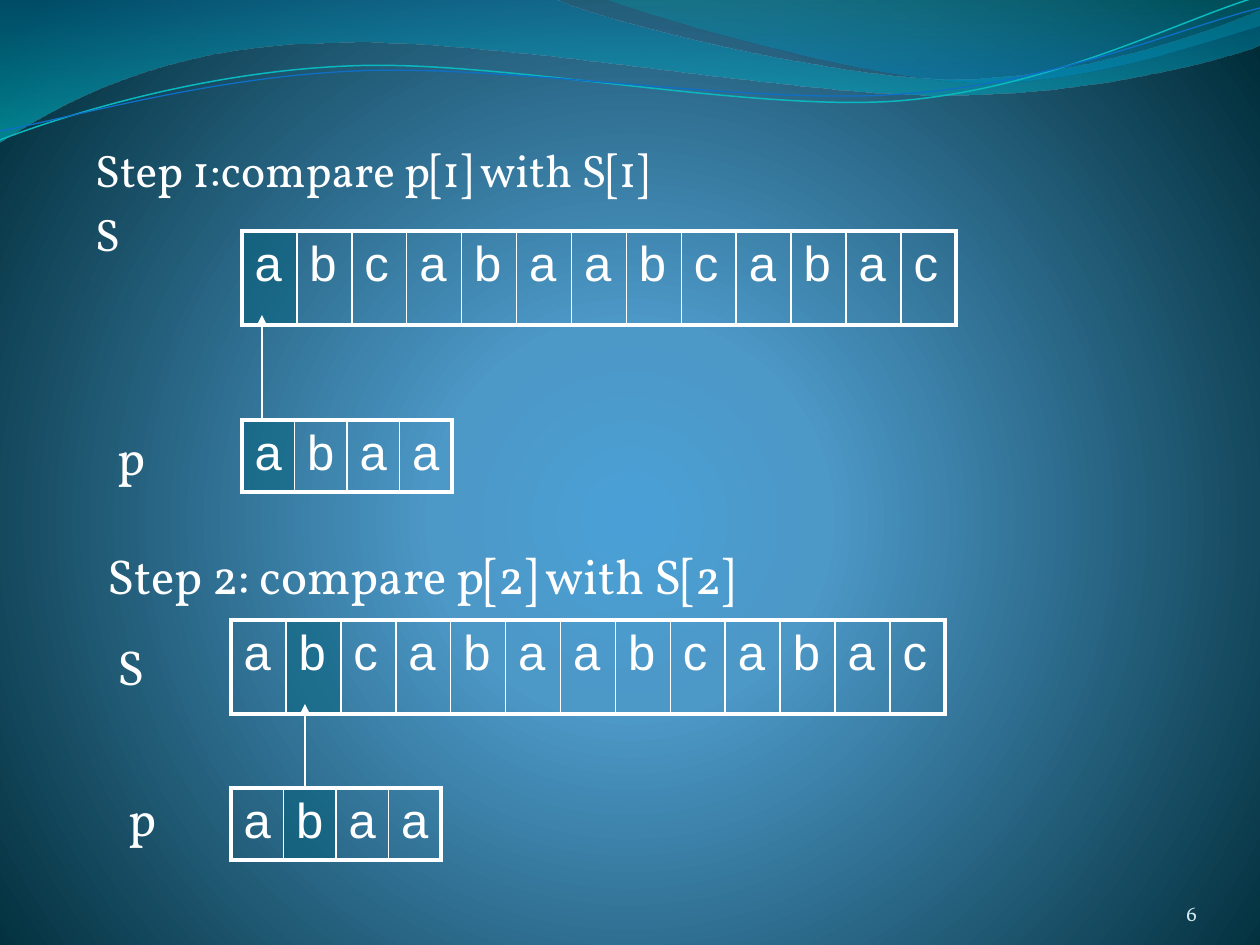
import math
import pptx
import pptx.util
import pptx.dml.color
import pptx.enum.shapes
import pptx.enum.text
import pptx.oxml
import pptx.oxml.ns
import lxml.etree

PX = 7257  # EMU per pixel, 126 pixels to the inch
ns = pptx.oxml.ns
rgb = pptx.dml.color.RGBColor.from_string
anchor = pptx.enum.text.MSO_ANCHOR
align = pptx.enum.text.PP_ALIGN
pt = pptx.util.Pt

THEME = {
    "ink": "FFFFFF", "mark": "04617B", "page": "D1EAEE",
    "back": [(0, "4AA0D6", 100), (25, "4C98C7", 100), (100, "002C38", 100)],
    "left": [(0, "0074A1", 45), (100, "00C6CF", 55)],
    "right": [(0, "00A1A9", 30), (80, "008BBF", 45)],
    "teal": "0AB8BF", "blue": "0F6FC6",
    "body": {"name": "Vollkorn", "size": pt(26)},
    "label": {"name": "Vollkorn", "size": pt(28)},
    "cell": {"name": "Arial", "size": pt(28)},
    "number": {"name": "Vollkorn", "size": pt(12)},
}


def shade(root, stops, way):
    """Put a gradient with opacity in place of the default one."""
    marks = "".join(
        f'<a:gs pos="{pos * 1000}"><a:srgbClr val="{tint}">'
        + (f'<a:alpha val="{clear * 1000}"/>' if clear < 100 else "")
        + '</a:srgbClr></a:gs>' for pos, tint, clear in stops)
    old = next(root.iter(ns.qn("a:gradFill")))
    new = pptx.oxml.parse_xml(
        f'<a:gradFill rotWithShape="1" {ns.nsdecls("a")}><a:gsLst>{marks}</a:gsLst>{way}</a:gradFill>')
    old.getparent().replace(old, new)


def write(para, text, style, tint=THEME["ink"]):
    run = para.add_run()
    run.text = text
    for key, value in THEME[style].items():
        setattr(run.font, key, value)
    run.font.color.rgb = rgb(tint)


deck = pptx.Presentation()
deck.slide_width, deck.slide_height = 1260 * PX, 945 * PX
slide = deck.slides.add_slide(deck.slide_layouts[6])
shapes = slide.shapes

# Background
slide.background.fill.gradient()
shade(slide.element, THEME["back"],
      '<a:path path="circle"><a:fillToRect l="10000" t="110000" r="10000" b="100000"/></a:path>')

# Waves: a pair is a straight step, six numbers are a Bezier curve
waves = [
    ("left", 0, [(0, 0), (554, -1), (600, 21, 837, 79, 955, 79), (1075, 79, 1207, 33, 1260, 11),
                 (1261, 45), (1239, 55, 1096, 96, 940, 95), (784, 95, 481, 35, 324, 43),
                 (163, 45, 58, 105, -1, 142), (0, 0)]),
    ("right", 0, [(604, -1), (641, 14, 859, 78, 969, 82), (1079, 87, 1211, 40, 1260, 26),
                  (1260, 0), (604, -1)]),
    ("teal", 0.85, [(0, 140), (60, 117, 199, 72, 349, 66), (498, 59, 747, 112, 898, 101),
                    (1050, 89, 1182, 19, 1257, -3)]),
    ("blue", 0.75, [(0, 131), (59, 121, 207, 77, 357, 71), (508, 64, 752, 106, 903, 94),
                    (1053, 84, 1186, 26, 1260, 8)]),
]
TILT = -2.7
for name, width, steps in waves:
    # Lines are drawn level, then the shape is tilted about its middle
    turn = math.radians(-TILT if width else 0)
    cos, sin = math.cos(turn), math.sin(turn)
    dots = [step[i:i + 2] for step in steps for i in range(0, len(step), 2)]
    dots = [(x * cos - y * sin, x * sin + y * cos) for x, y in dots]
    dots = [(round(x * PX), round(y * PX)) for x, y in dots]
    pen = shapes.build_freeform(*dots[0])
    pen.add_line_segments(dots[1:], close=not width)
    wave = pen.convert_to_shape()
    lines = list(wave.element.iter(ns.qn("a:lnTo")))
    for step in steps[1:]:
        first, *rest = lines[:len(step) // 2]
        del lines[:len(step) // 2]
        if rest:
            curve = lxml.etree.Element(ns.qn("a:cubicBezTo"))
            first.addprevious(curve)
            for line in (first, *rest):
                curve.append(line[0])
                line.getparent().remove(line)
    wave.shadow.inherit = False
    if width:
        x, y = wave.left + wave.width / 2, wave.top + wave.height / 2
        wave.left = round(x * cos + y * sin - wave.width / 2)
        wave.top = round(y * cos - x * sin - wave.height / 2)
        wave.rotation = TILT
        wave.fill.background()
        wave.line.color.rgb = rgb(THEME[name])
        wave.line.width = pt(width)
    else:
        wave.line.fill.background()
        wave.fill.gradient()
        shade(wave.element, THEME[name], '<a:lin ang="5400000" scaled="1"/>')

# Text: place, lines, style, tint, paragraph format, frame format
ink = THEME["ink"]
free = {"word_wrap": False, "auto_size": pptx.enum.text.MSO_AUTO_SIZE.SHAPE_TO_FIT_TEXT}
flush = {"word_wrap": True, "margin_left": 0, "margin_right": 0}
foot = {**flush, "margin_top": 0, "margin_bottom": 0, "vertical_anchor": anchor.BOTTOM}
notes = [
    ((95, 136, 1081, 746), ["Step 1:compare p[1] with S[1]", "S"], "body", ink,
     {"space_before": pt(5.2)}, flush),
    ((105, 420, 53, 72), ["p"], "label", ink, {}, free),
    ((95, 539, 682, 72), ["Step 2: compare p[2] with S[2]"], "label", ink, {}, free),
    ((105, 630, 58, 72), ["S"], "label", ink, {}, free),
    ((116, 781, 53, 72), ["p"], "label", ink, {}, free),
    ((1092, 876, 105, 50), ["6"], "number", THEME["page"], {"alignment": align.RIGHT}, foot),
]
for place, lines, style, tint, layout, form in notes:
    frame = shapes.add_textbox(*(v * PX for v in place)).text_frame
    for key, value in form.items():
        setattr(frame, key, value)
    for i, line in enumerate(lines):
        para = frame.add_paragraph() if i else frame.paragraphs[0]
        for key, value in layout.items():
            setattr(para, key, value)
        write(para, line, style, tint)

# Letter tables: left, top, width, height, letters, marked column
grids = [
    (242, 231, 714, 94, "abcabaabcabac", 0),
    (242, 420, 210, 72, "abaa", 0),
    (231, 620, 714, 94, "abcabaabcabac", 1),
    (231, 788, 210, 72, "abaa", 1),
]
for left, top, wide, high, word, mark in grids:
    count = len(word)
    table = shapes.add_table(1, count, left * PX, top * PX, wide * PX, high * PX).table
    table.first_row = table.horz_banding = False
    for i, letter in enumerate(word):
        table.columns[i].width = wide * PX // count
        cell = table.cell(0, i)
        para = cell.text_frame.paragraphs[0]
        para.space_before = pt(5.6)
        write(para, letter, "cell")
        props = cell._tc.get_or_add_tcPr()
        if i == mark:
            cell.fill.solid()
            cell.fill.fore_color.rgb = rgb(THEME["mark"])
            tone = next(props.iter(ns.qn("a:srgbClr")))
            lxml.etree.SubElement(tone, ns.qn("a:alpha")).set("val", "50000")
        else:
            cell.fill.background()
        outer = {"L": i == 0, "R": i == count - 1, "T": True, "B": True}
        for spot, (side, bold) in enumerate(outer.items()):
            props.insert(spot, pptx.oxml.parse_xml(
                f'<a:ln{side} w="{28575 if bold else 12700}" {ns.nsdecls("a")}><a:solidFill>'
                f'<a:srgbClr val="{ink}"/></a:solidFill></a:ln{side}>'))

# Arrows from pattern to text
for x, low, high in [(262, 420, 315), (305, 788, 704)]:
    arrow = shapes.add_connector(pptx.enum.shapes.MSO_CONNECTOR.STRAIGHT,
                                 x * PX, low * PX, x * PX, high * PX)
    arrow.line.color.rgb = rgb(ink)
    arrow.line.width = pt(0.75)
    lxml.etree.SubElement(arrow.line._get_or_add_ln(), ns.qn("a:tailEnd")).set("type", "triangle")
    lxml.etree.SubElement(arrow.element.spPr, ns.qn("a:effectLst"))

deck.save("out.pptx")
